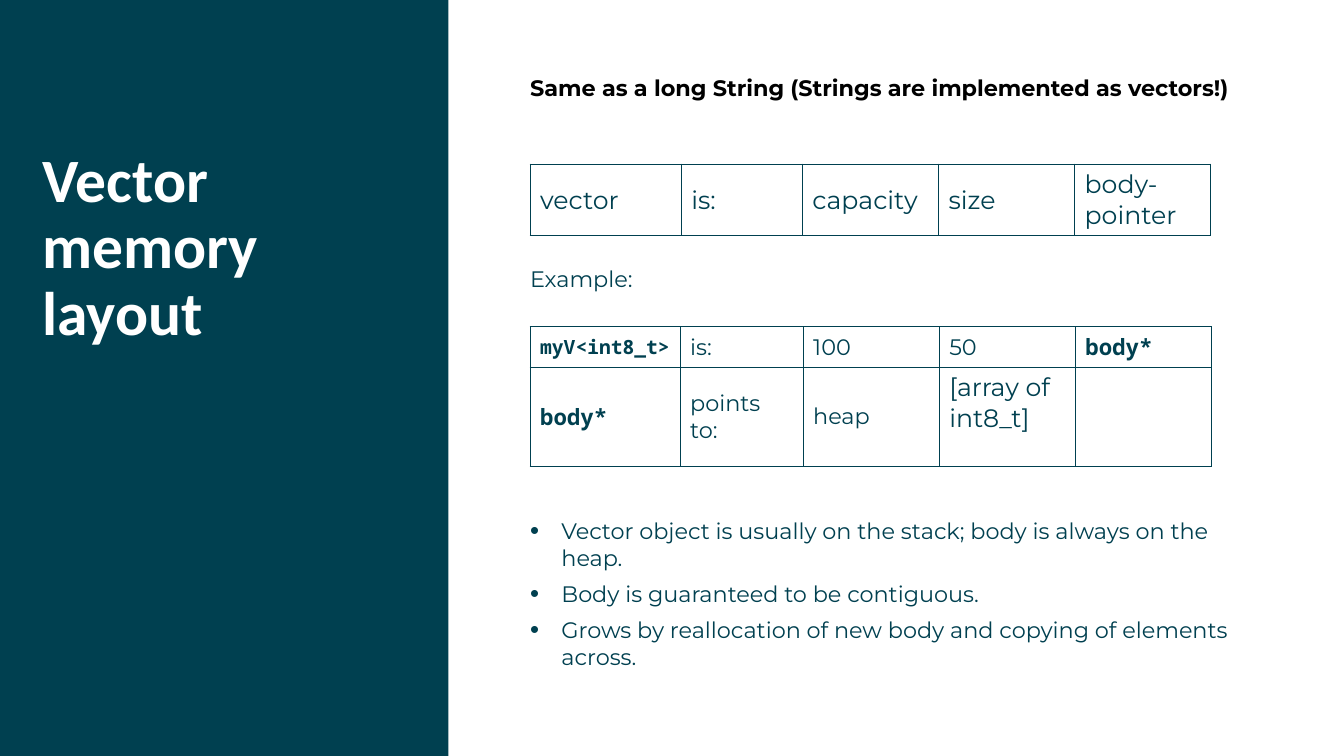
"""Build the slide on the memory layout of a vector."""
from lxml import etree
from pptx import Presentation
from pptx.dml.color import RGBColor
from pptx.enum.shapes import MSO_SHAPE as Shape
from pptx.enum.text import MSO_ANCHOR as Anchor
from pptx.oxml import parse_xml
from pptx.oxml.ns import nsdecls, qn
from pptx.util import Cm, Pt

TEAL = RGBColor(0x00, 0x40, 0x50)
WHITE = RGBColor(0xFF, 0xFF, 0xFF)
BLACK = RGBColor(0x00, 0x00, 0x00)
SANS = "Montserrat"
MONO = "Noto Sans Mono"
CONTENT_LEFT = Cm(13.36)
CONTENT_WIDTH = Cm(18.72)


def write(frame, lines, size=16, font=SANS, color=TEAL, bold=False,
          after=0, spacing=None, bullet=False):
    frame.word_wrap = True
    for index, line in enumerate(lines):
        paragraph = frame.paragraphs[0] if index == 0 else frame.add_paragraph()
        paragraph.space_after = Pt(after)
        if spacing:
            paragraph.line_spacing = spacing
        if bullet:
            properties = paragraph._p.get_or_add_pPr()
            properties.set("marL", str(Cm(0.79)))
            properties.set("indent", str(-Cm(0.79)))
            etree.SubElement(properties, qn("a:buSzPct")).set("val", "115000")
            etree.SubElement(properties, qn("a:buFont")).set("typeface", "Arial")
            etree.SubElement(properties, qn("a:buChar")).set("char", "•")
        run = paragraph.add_run()
        run.text = line
        run.font.size = Pt(size)
        run.font.name = font
        run.font.bold = bold
        run.font.color.rgb = color


presentation = Presentation()
presentation.slide_width = Cm(33.87)
presentation.slide_height = Cm(19.05)
slide = presentation.slides.add_slide(presentation.slide_layouts[6])

sidebar = slide.shapes.add_shape(Shape.RECTANGLE, 0, 0, Cm(11.3), Cm(19.05))
sidebar.shadow.inherit = False
sidebar.fill.solid()
sidebar.fill.fore_color.rgb = TEAL
sidebar.line.fill.background()

bullets = [
    "Vector object is usually on the stack; body is always on the heap.",
    "Body is guaranteed to be contiguous.",
    "Grows by reallocation of new body and copying of elements across.",
]
text_boxes = [
    (Cm(1.07), Cm(3.76), Cm(9.58), Cm(7.65), ["Vector memory layout"],
     dict(size=44, font="Calibri", color=WHITE, bold=True, spacing=0.9)),
    (CONTENT_LEFT, Cm(1.88), CONTENT_WIDTH, Cm(1),
     ["Same as a long String (Strings are implemented as vectors!)"],
     dict(color=BLACK, bold=True)),
    (CONTENT_LEFT, Cm(6.68), CONTENT_WIDTH, Cm(1), ["Example:"], {}),
    (CONTENT_LEFT, Cm(13.03), CONTENT_WIDTH, Cm(4.1), bullets,
     dict(after=6.5, bullet=True)),
]
for left, top, width, height, lines, text_format in text_boxes:
    frame = slide.shapes.add_textbox(left, top, width, height).text_frame
    frame.margin_left = frame.margin_top = 0
    frame.margin_right = frame.margin_bottom = 0
    write(frame, lines, **text_format)

large = dict(size=18)
code = dict(font=MONO, bold=True)
tables = [
    (4.14, [3.81, 3.05, 3.43, 3.43, 3.43], [1.8], [
        [("vector", large), ("is:", large), ("capacity", large),
         ("size", large), ("body-pointer", large)],
    ]),
    (8.23, [3.78, 3.1, 3.43, 3.43, 3.43], [1.03, 2.49], [
        [("myV<int8_t>", dict(code, size=14)), ("is:", {}), ("100", {}),
         ("50", {}), ("body*", code)],
        [("body*", code), ("points to:", {}), ("heap", {}),
         ("[array of int8_t]", large), ("", {})],
    ]),
]
for top, widths, heights, rows in tables:
    table = slide.shapes.add_table(
        len(rows), len(widths), CONTENT_LEFT, Cm(top),
        Cm(sum(widths)), Cm(sum(heights))).table
    table.first_row = False
    table.horz_banding = False
    for column, width in zip(table.columns, widths):
        column.width = Cm(width)
    for row_index, row in enumerate(rows):
        table.rows[row_index].height = Cm(heights[row_index])
        for column_index, (text, text_format) in enumerate(row):
            cell = table.cell(row_index, column_index)
            cell.vertical_anchor = Anchor.TOP if text.startswith("[") else Anchor.MIDDLE
            if text:
                write(cell.text_frame, [text], **text_format)
            properties = cell._tc.get_or_add_tcPr()
            for side in ("lnL", "lnR", "lnT", "lnB"):
                properties.append(parse_xml(
                    f'<a:{side} {nsdecls("a")} w="{Pt(1)}"><a:solidFill>'
                    f'<a:srgbClr val="{TEAL}"/></a:solidFill></a:{side}>'))
            cell.fill.background()

presentation.save("out.pptx")
